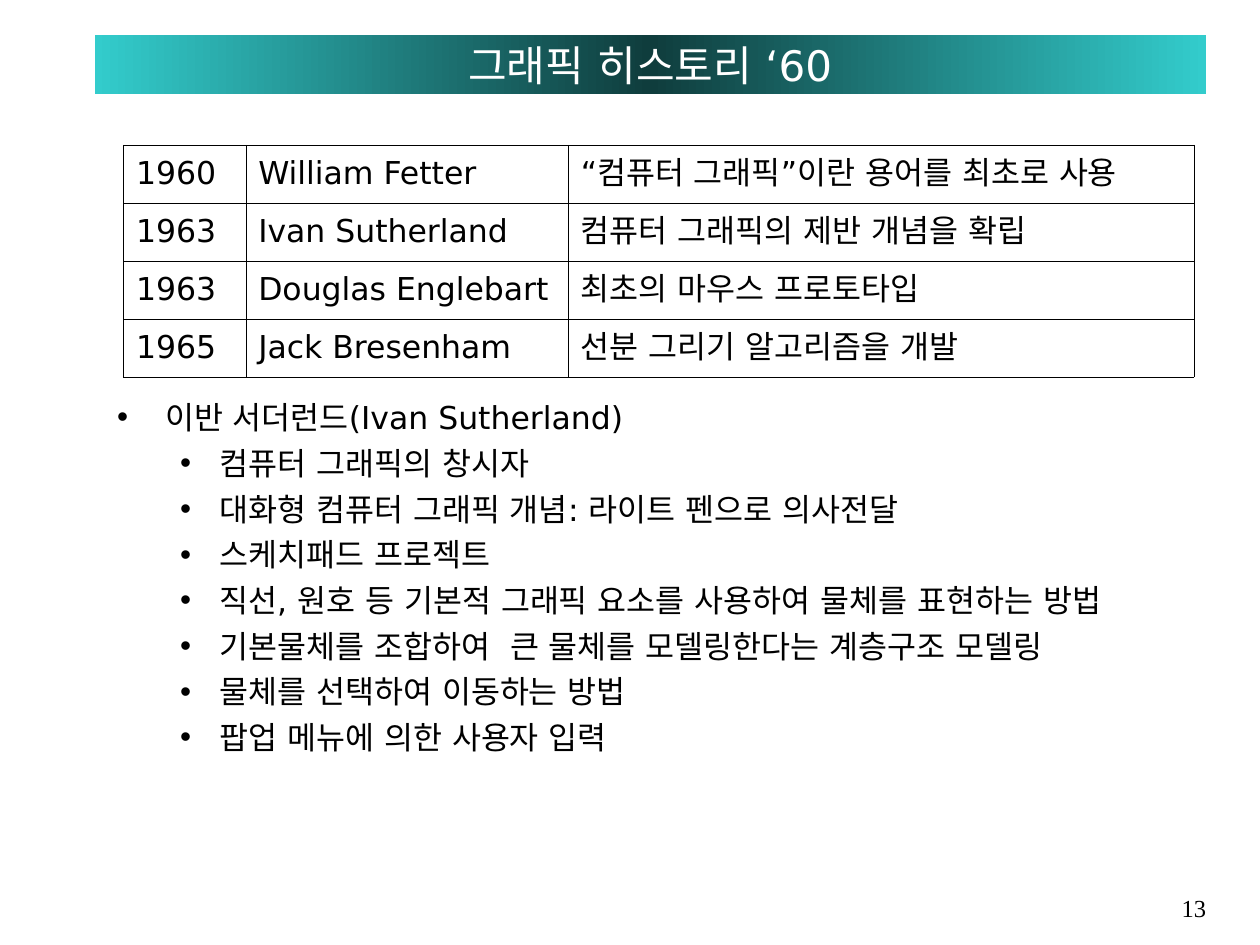
from copy import deepcopy

from lxml import etree
from pptx import Presentation, util as u
from pptx.dml.color import RGBColor
from pptx.enum import text
from pptx.oxml.ns import qn

BLACK = RGBColor(0x00, 0x00, 0x00)
WHITE = RGBColor(0xFF, 0xFF, 0xFF)
TEAL = RGBColor(0x33, 0xCC, 0xCC)
DARK_TEAL = RGBColor(0x0F, 0x3D, 0x3D)
SANS, SERIF = "DejaVu Sans", "Times New Roman"

TITLE = "그래픽 히스토리 ‘60"
PAGE = "13"
HISTORY = [
    ("1960", "William Fetter", "“컴퓨터 그래픽”이란 용어를 최초로 사용"),
    ("1963", "Ivan Sutherland", "컴퓨터 그래픽의 제반 개념을 확립"),
    ("1963", "Douglas Englebart", "최초의 마우스 프로토타입"),
    ("1965", "Jack Bresenham", "선분 그리기 알고리즘을 개발"),
]
BULLETS = [
    (0, "이반 서더런드(Ivan Sutherland)"),
    (1, "컴퓨터 그래픽의 창시자"),
    (1, "대화형 컴퓨터 그래픽 개념: 라이트 펜으로 의사전달"),
    (1, "스케치패드 프로젝트"),
    (1, "직선, 원호 등 기본적 그래픽 요소를 사용하여 물체를 표현하는 방법"),
    (1, "기본물체를 조합하여  큰 물체를 모델링한다는 계층구조 모델링"),
    (1, "물체를 선택하여 이동하는 방법"),
    (1, "팝업 메뉴에 의한 사용자 입력"),
]
TITLE_BOX = (0.75, 0.28, 8.82, 0.47)
BODY_BOX = (0.83, 3.11, 8.74, 3.94)
PAGE_BOX = (9.25, 7.04, 0.42, 0.17)
TABLE_LEFT, TABLE_TOP, ROW_HEIGHT = 0.98, 1.15, 0.46
COLUMNS = (0.97, 2.56, 4.97)
INDENTS = [(0.38, -0.38), (0.81, -0.31)]  # left margin and first line by level


def inches(box):
    return [u.Inches(v) for v in box]


def place(sp, box):
    sp.left, sp.top, sp.width, sp.height = inches(box)


def add_run(p, words, size, color=BLACK, font=SANS):
    r = p.add_run()
    r.text = words
    r.font.size, r.font.name = u.Pt(size), font
    r.font.color.rgb = color
    etree.SubElement(r.font._element, qn("a:ea"), typeface=font)


def fill_gradient(sp, edge, middle):
    """Blend from edge to middle and back, left to right."""
    sp.fill.gradient()
    sp.fill.gradient_angle = 0
    gs_list = sp._element.spPr.find(".//" + qn("a:gsLst"))
    gs_list.append(deepcopy(gs_list[0]))
    for stop, color, position in zip(sp.fill.gradient_stops,
                                     (edge, middle, edge), (0, 0.5, 1)):
        stop.color.rgb = color
        stop.position = position


def add_bullet(p, level):
    margin, first = INDENTS[level]
    p.level = level
    p.space_before = u.Pt(4.5)
    pPr = p._p.get_or_add_pPr()
    pPr.set("marL", str(u.Inches(margin)))
    pPr.set("indent", str(u.Inches(first)))
    etree.SubElement(pPr, qn("a:buChar"), char="•")


def add_borders(cell):
    tcPr = cell._tc.get_or_add_tcPr()
    for side in "LRTB":
        ln = etree.SubElement(tcPr, qn("a:ln" + side), w=str(u.Pt(0.06)))
        fill = etree.SubElement(ln, qn("a:solidFill"))
        etree.SubElement(fill, qn("a:srgbClr"), val=str(BLACK))


def add_history(s):
    box = (TABLE_LEFT, TABLE_TOP, sum(COLUMNS), ROW_HEIGHT * len(HISTORY))
    table = s.shapes.add_table(len(HISTORY), len(COLUMNS), *inches(box)).table
    table.first_row = table.horz_banding = False
    for column, width in zip(table.columns, COLUMNS):
        column.width = u.Inches(width)
    for row, entries in zip(table.rows, HISTORY):
        for cell, words in zip(row.cells, entries):
            add_borders(cell)
            cell.fill.background()
            cell.vertical_anchor = text.MSO_ANCHOR.MIDDLE
            p = cell.text_frame.paragraphs[0]
            p.alignment = text.PP_ALIGN.JUSTIFY
            add_run(p, words, 18)


def main():
    prs = Presentation()
    prs.slide_width, prs.slide_height = u.Inches(10), u.Inches(7.5)
    s = prs.slides.add_slide(prs.slide_layouts[1])

    title, body = s.placeholders
    place(title, TITLE_BOX)
    fill_gradient(title, TEAL, DARK_TEAL)
    tf = title.text_frame
    tf.auto_size = text.MSO_AUTO_SIZE.NONE
    tf.vertical_anchor = text.MSO_ANCHOR.MIDDLE
    tf.paragraphs[0].alignment = text.PP_ALIGN.CENTER
    add_run(tf.paragraphs[0], TITLE, 24, WHITE)

    place(body, BODY_BOX)
    tf = body.text_frame
    tf.auto_size = text.MSO_AUTO_SIZE.NONE
    for i, (level, words) in enumerate(BULLETS):
        p = tf.add_paragraph() if i else tf.paragraphs[0]
        add_bullet(p, level)
        add_run(p, words, 18)

    add_history(s)

    tf = s.shapes.add_textbox(*inches(PAGE_BOX)).text_frame
    tf.word_wrap = True
    tf.paragraphs[0].alignment = text.PP_ALIGN.RIGHT
    add_run(tf.paragraphs[0], PAGE, 14, font=SERIF)

    prs.save("out.pptx")


if __name__ == "__main__":
    main()
